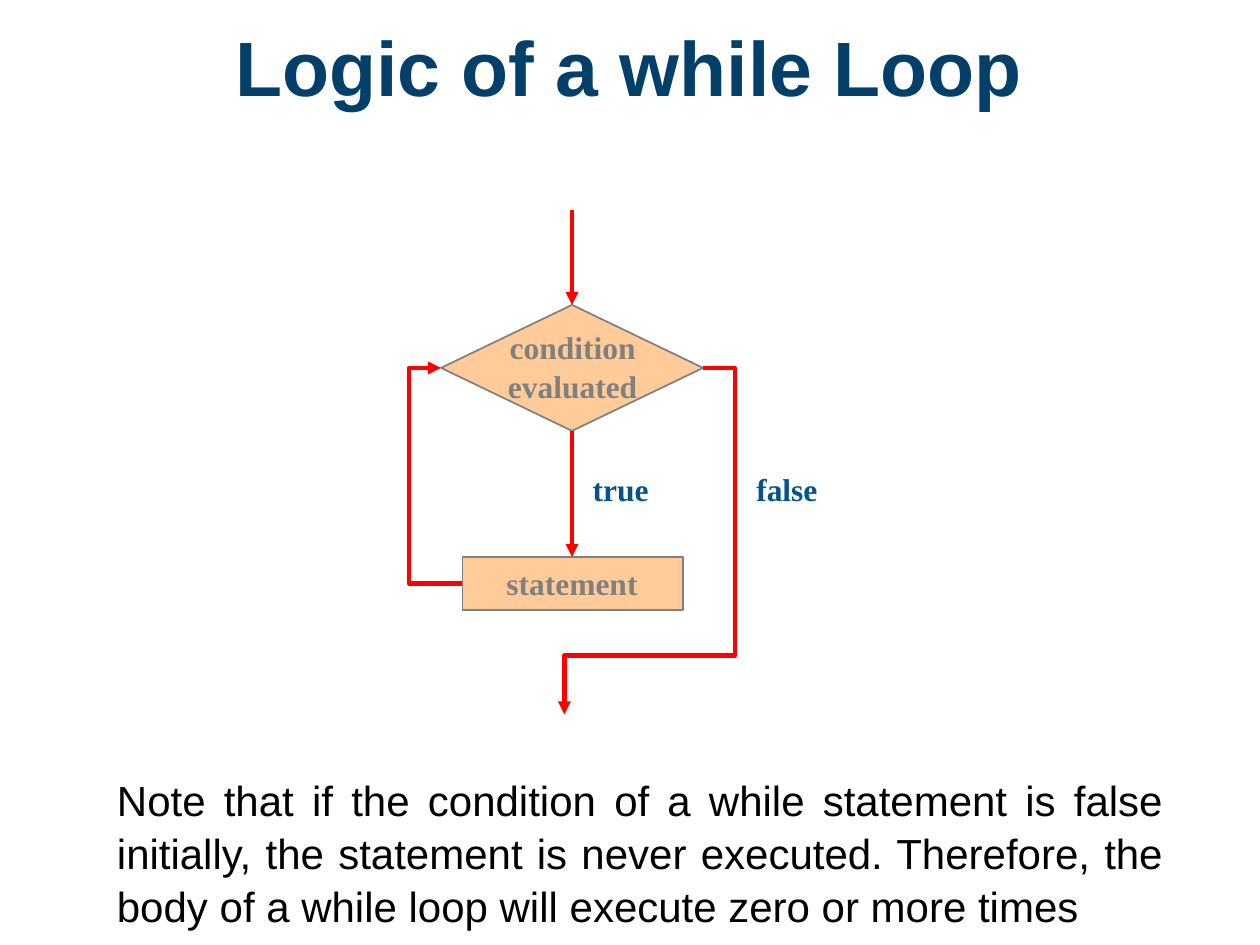
from pptx import Presentation
from pptx.dml.color import RGBColor
from pptx.enum import shapes, text
from pptx.oxml import ns
from pptx.util import Inches, Pt
from lxml import etree

NAVY = RGBColor(0x02, 0x40, 0x69)
BLUE = RGBColor(0x03, 0x54, 0x8A)
PEACH = RGBColor(0xFF, 0xCC, 0x99)
GRAY = RGBColor(0x80, 0x80, 0x80)
RED = RGBColor(0xFF, 0x00, 0x00)
BLACK = RGBColor(0, 0, 0)
SERIF, SANS = "Times New Roman", "Arial"
CENTER, JUSTIFY = text.PP_ALIGN.CENTER, text.PP_ALIGN.JUSTIFY
MID = 4.54  # centre line of the flow

prs = Presentation()
prs.slide_width, prs.slide_height = Inches(10), Inches(7.5)
slide = prs.slides.add_slide(prs.slide_layouts[6])


def label(at, lines, size, color, font=SERIF, bold=True, align=CENTER,
          wrap=False, anchor=text.MSO_ANCHOR.MIDDLE, space=1.05):
    frame = slide.shapes.add_textbox(*map(Inches, at)).text_frame
    frame.word_wrap = wrap
    frame.vertical_anchor = anchor
    frame.text = lines
    for para in frame.paragraphs:
        para.alignment = align
        para.line_spacing = space
        para.font.name, para.font.size = font, Pt(size)
        para.font.bold, para.font.color.rgb = bold, color


def arrow(kind, start, end, preset=None, adjust=(), turn=0):
    line = slide.shapes.add_connector(kind, *map(Inches, start + end))
    line.line.color.rgb, line.line.width = RED, Pt(2.5)
    props = line._element.spPr
    tail = etree.SubElement(line.line._get_or_add_ln(), ns.qn("a:tailEnd"))
    tail.set("type", "triangle")
    etree.SubElement(props, ns.qn("a:effectLst"))
    if turn:
        props.find(ns.qn("a:xfrm")).set("rot", str(turn * 60000))
    if preset:
        geom = props.find(ns.qn("a:prstGeom"))
        geom.set("prst", preset)
        guides = geom.find(ns.qn("a:avLst"))
        for n, value in enumerate(adjust, 1):
            guide = etree.SubElement(guides, ns.qn("a:gd"))
            guide.set("name", f"adj{n}")
            guide.set("fmla", f"val {round(value * 100000)}")


# Title
label((0.5, 0.21, 8.99, 0.62), "Logic of a while Loop", 44, NAVY, SANS,
      wrap=True, space=1)

# Flow nodes
for kind, at in (
    (shapes.MSO_SHAPE.RECTANGLE, (3.67, 4.42, 1.75, 0.42)),
    (shapes.MSO_SHAPE.DIAMOND, (3.5, 2.42, 2.08, 1)),
):
    node = slide.shapes.add_shape(kind, *map(Inches, at))
    node.shadow.inherit = False
    node.fill.solid()
    node.fill.fore_color.rgb = PEACH
    node.line.color.rgb, node.line.width = GRAY, Pt(1)

# Straight arrows, then the loop back and the exit
straight, elbow = shapes.MSO_CONNECTOR.STRAIGHT, shapes.MSO_CONNECTOR.ELBOW
arrow(straight, (MID, 1.67), (MID, 2.42))
arrow(straight, (MID, 3.42), (MID, 4.42))
arrow(elbow, (3.5, 2.92), (3.67, 4.63), "bentConnector3", (2.5,), turn=180)
arrow(elbow, (5.58, 2.92), (4.48, 5.67), "bentConnector4", (-0.23, 0.83))

# Flow labels
for at, lines, color in (
    ((3.92, 4.42, 1.24, 0.4), "statement", GRAY),
    ((3.93, 2.55, 1.23, 0.7), "condition\nevaluated", GRAY),
    ((4.6, 3.67, 0.65, 0.4), "true", BLUE),
    ((5.9, 3.67, 0.69, 0.4), "false", BLUE),
):
    label(at, lines, 18, color)

# Closing note
label((0.83, 6.08, 8.5, 1.31),
      "Note that if the condition of a while statement is false initially, "
      "the statement is never executed. Therefore, the body of a while loop "
      "will execute zero or more times",
      24, BLACK, SANS, bold=False, align=JUSTIFY, wrap=True,
      anchor=text.MSO_ANCHOR.TOP)

prs.save("out.pptx")
